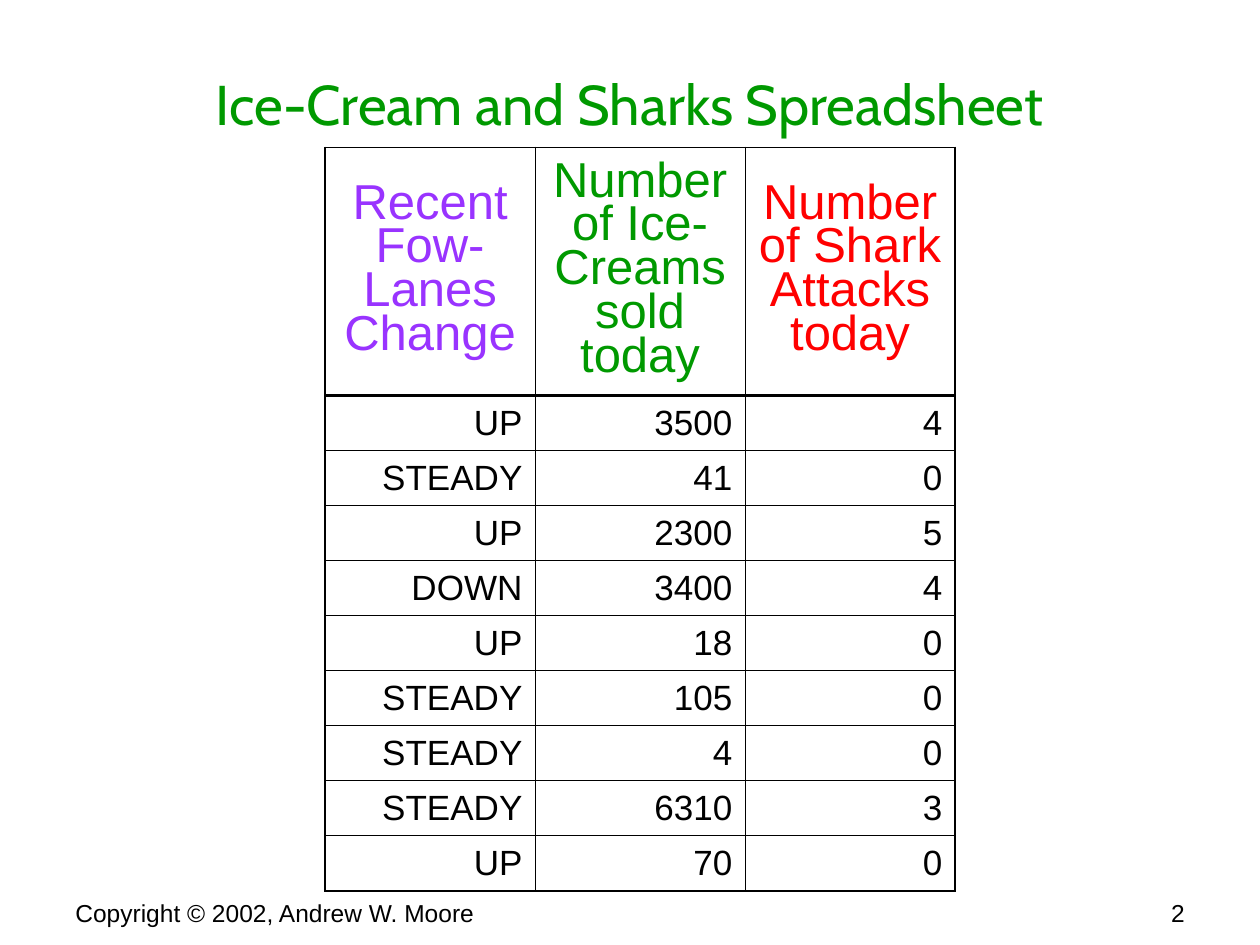
"""Build the ice-cream and sharks spreadsheet slide."""
from dataclasses import dataclass

from lxml.etree import SubElement
from pptx import Presentation
from pptx.dml.color import RGBColor
from pptx.enum.text import MSO_ANCHOR as Anchor, PP_ALIGN as Align
from pptx.oxml.ns import qn
from pptx.util import Inches, Pt

BLACK, GREEN, PURPLE, RED = "000000", "009900", "9933FF", "FF0000"
OUTER, INNER, HEADER_RULE = 1.08, 0.45, 2.21
TABLE_LEFT, TABLE_TOP, TABLE_WIDTH, TABLE_HEIGHT = 2.58, 1.17, 5, 5.9
HEADER_HEIGHT = 1.97


@dataclass
class Column:
    heading: str
    color: str
    values: list


@dataclass
class Footer:
    text: str
    left: float
    width: float
    align: Align


COLUMNS = [
    Column("Recent Fow-Lanes Change", PURPLE,
           ["UP", "STEADY", "UP", "DOWN", "UP", "STEADY", "STEADY", "STEADY", "UP"]),
    Column("Number of Ice-Creams sold today", GREEN,
           [3500, 41, 2300, 3400, 18, 105, 4, 6310, 70]),
    Column("Number of Shark Attacks today", RED, [4, 0, 5, 4, 0, 0, 0, 3, 0]),
]
FOOTERS = [
    Footer("Copyright © 2002, Andrew W. Moore", 0.5, 4.17, Align.LEFT),
    Footer("2", 5.25, 4.25, Align.RIGHT),
]


def style(paragraph, size: float, color: str, align: Align, font_name: str = "Arial") -> None:
    """Format a whole paragraph."""
    paragraph.alignment = align
    paragraph.font.size = Pt(size)
    paragraph.font.name = font_name
    paragraph.font.color.rgb = RGBColor.from_string(color)


def set_borders(cell, **widths: float) -> None:
    """Draw black borders of the given widths in points, keyed by side."""
    properties = cell._tc.get_or_add_tcPr()
    for side, width in widths.items():
        line = SubElement(properties, qn(f"a:ln{side}"), w=str(Pt(width)))
        fill = SubElement(line, qn("a:solidFill"))
        SubElement(fill, qn("a:srgbClr"), val=BLACK)


def add_title(slide, text: str) -> None:
    """Fill and place the title placeholder."""
    title = slide.shapes.title
    title.left, title.top = Inches(0.5), Inches(0.3)
    title.width, title.height = Inches(9), Inches(1.03)
    title.text_frame.text = text
    title.text_frame.vertical_anchor = Anchor.MIDDLE
    style(title.text_frame.paragraphs[0], 32, GREEN, Align.CENTER, "Cabin")


def add_spreadsheet(slide, columns: list[Column]) -> None:
    """Add the table with one heading row above the values."""
    last_row, last_column = len(columns[0].values), len(columns) - 1
    table = slide.shapes.add_table(
        last_row + 1, len(columns), Inches(TABLE_LEFT), Inches(TABLE_TOP),
        Inches(TABLE_WIDTH), Inches(TABLE_HEIGHT)).table
    table.first_row = table.horz_banding = False
    for row in table.rows:
        row.height = Inches((TABLE_HEIGHT - HEADER_HEIGHT) / last_row)
    table.rows[0].height = Inches(HEADER_HEIGHT)

    horizontal_rules = [OUTER, HEADER_RULE] + [INNER] * (last_row - 1) + [OUTER]
    vertical_rules = [OUTER] + [INNER] * last_column + [OUTER]
    for column_index, column in enumerate(columns):
        for row_index, value in enumerate([column.heading, *column.values]):
            cell = table.cell(row_index, column_index)
            cell.text = str(value)
            cell.vertical_anchor = Anchor.MIDDLE
            set_borders(cell, L=vertical_rules[column_index], R=vertical_rules[column_index + 1],
                        T=horizontal_rules[row_index], B=horizontal_rules[row_index + 1])
            cell.fill.background()
            paragraph = cell.text_frame.paragraphs[0]
            if row_index == 0:
                style(paragraph, 28, column.color, Align.CENTER)
                paragraph.line_spacing = 0.8
            else:
                style(paragraph, 20, BLACK, Align.RIGHT)
                paragraph.space_before = Pt(5)


def add_footer(slide, footer: Footer) -> None:
    """Add one line of text at the foot of the slide."""
    box = slide.shapes.add_textbox(
        Inches(footer.left), Inches(7.08), Inches(footer.width), Inches(0.27))
    box.text_frame.word_wrap = True
    box.text_frame.text = footer.text
    style(box.text_frame.paragraphs[0], 14, BLACK, footer.align)


def main() -> None:
    """Build and save the presentation."""
    presentation = Presentation()
    presentation.slide_width, presentation.slide_height = Inches(10), Inches(7.5)
    slide = presentation.slides.add_slide(presentation.slide_layouts.get_by_name("Title Only"))
    add_title(slide, "Ice-Cream and Sharks Spreadsheet")
    add_spreadsheet(slide, COLUMNS)
    for footer in FOOTERS:
        add_footer(slide, footer)
    presentation.save("out.pptx")


if __name__ == "__main__":
    main()
